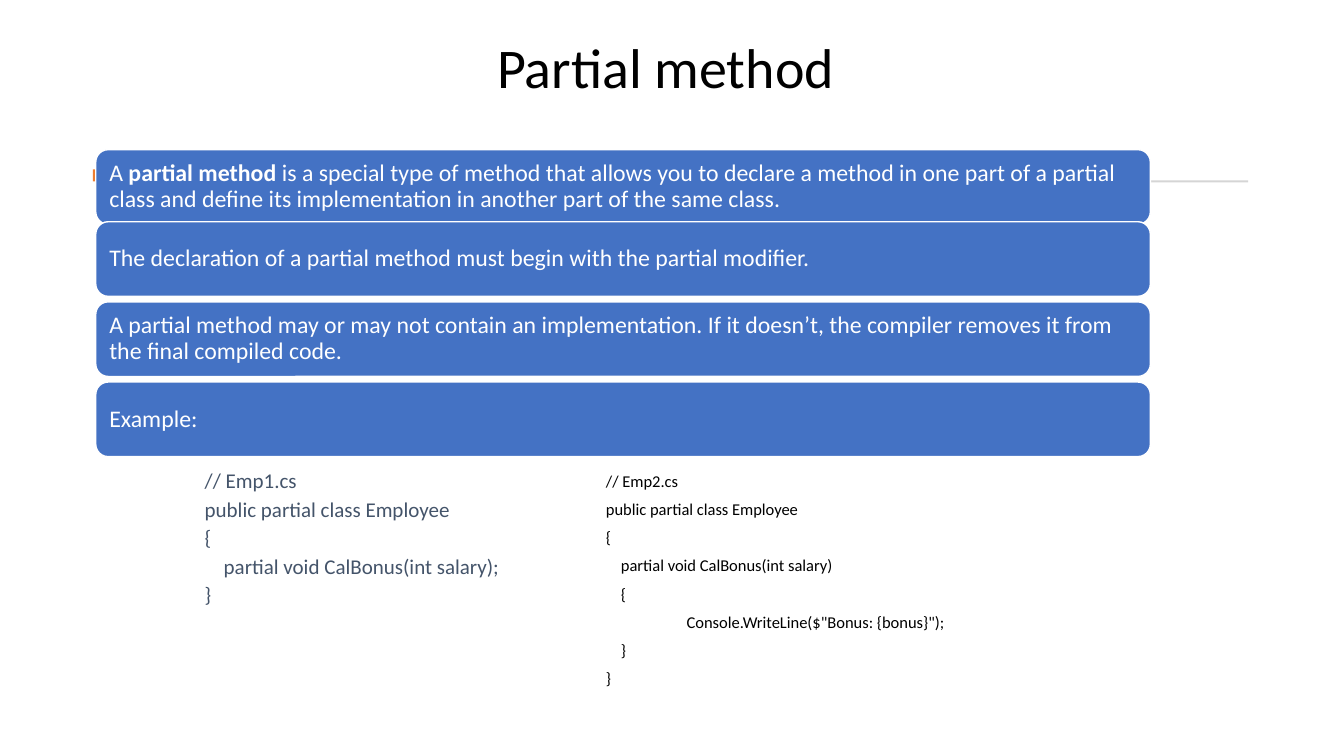
from pptx import Presentation
from pptx.dml.color import RGBColor
from pptx.enum.shapes import MSO_SHAPE as Kind
from pptx.enum.text import MSO_ANCHOR as Anchor, MSO_AUTO_SIZE as Fit, PP_ALIGN as Align
from pptx.oxml.ns import qn
from pptx.util import Inches, Pt
from lxml.etree import SubElement

# Content: text runs are (text, bold), code lines are (level, text)
TITLE = "Partial method\u00a0"
POINTS = [
    [("A\u00a0", False), ("partial method", True),
     ("\u00a0is a special type of method that allows you to declare a method in one part "
      "of a partial class and define its implementation in another part of the same class.", False)],
    [("The declaration of a partial method must begin with the\u00a0partial modifier.", False)],
    [("A\u00a0partial method may or may not contain an implementation. If it doesn’t, "
      "the compiler removes it from the final compiled code.", False)],
    [("Example:", False)],
]
EMP1 = [(0, "// Emp1.cs"), (0, "public partial class Employee"), (0, "{"),
        (1, "partial void CalBonus(int salary);"), (0, "}")]
EMP2 = [(0, "// Emp2.cs"), (0, "public partial class Employee"), (0, "{"),
        (1, "partial void CalBonus(int salary)"), (1, "{"),
        (2, 'Console.WriteLine($"Bonus: {bonus}");'), (1, "}"), (0, "}")]

# Look
HUES = {"bar": "4472C4", "rule": "D5D5D5", "mark": "ED7D31",
        "white": "FFFFFF", "black": "000000", "slate": "44546A"}
FONT = "Calibri"
LEFT, WIDE, TALL = 0.95, 10.46, 0.74
LAST, STEP, NUDGE = 3.79, 0.795, 0.08   # the first bar sits a little lower


def hue(name):
    return RGBColor.from_string(HUES[name])


def put(item, *box):
    item.left, item.top, item.width, item.height = map(Inches, box)


def style(item, **look):
    for key, val in look.items():
        setattr(item, key, val)


def write(para, text, size, color, bold=False):
    run = para.add_run()
    run.text = text
    style(run.font, name=FONT, size=Pt(size), bold=bold)
    run.font.color.rgb = hue(color)


def draw(kind, fill, *box):
    item = deck.shapes.add_shape(kind, *map(Inches, box))
    item.shadow.inherit = False
    item.fill.solid()
    item.fill.fore_color.rgb = hue(fill)
    item.line.fill.background()
    return item


def code(item, lines, box, size, color, space, anchor):
    put(item, *box)
    frame = item.text_frame
    style(frame, word_wrap=True, auto_size=Fit.NONE, vertical_anchor=anchor)
    steps = (0, size * 0.0126, 0.8)     # indent of each level, inches
    for num, (level, text) in enumerate(lines):
        para = frame.add_paragraph() if num else frame.paragraphs[0]
        style(para, line_spacing=space, space_before=Pt(0), space_after=Pt(6))
        props = para._p.get_or_add_pPr()
        props.set("marL", str(Inches(steps[level])))
        props.set("indent", "0")
        SubElement(props, qn("a:buNone"))
        write(para, text, size, color)


show = Presentation()
style(show, slide_width=Inches(13.33), slide_height=Inches(7.5))
deck = show.slides.add_slide(show.slide_layouts[3])
head, left, right = deck.placeholders

# Title
put(head, 0.92, 0.28, 11.49, 0.77)
style(head.text_frame, word_wrap=True, auto_size=Fit.NONE, vertical_anchor=Anchor.BOTTOM)
line = head.text_frame.paragraphs[0]
style(line, alignment=Align.CENTER, line_spacing=0.9)
write(line, TITLE, 40, "black")

# Rule and accent behind the bars
draw(Kind.RECTANGLE, "rule", LEFT, 1.79, 11.43, 0.02)
draw(Kind.RECTANGLE, "mark", 0.92, 1.68, 2.05, 0.12)

# Bars
for row, runs in enumerate(POINTS):
    top = LAST - STEP * (len(POINTS) - 1 - row) + (0 if row else NUDGE)
    bar = draw(Kind.ROUNDED_RECTANGLE, "bar", LEFT, top, WIDE, TALL)
    bar.line.color.rgb = hue("white")
    bar.line.width = Pt(1)
    pad = Inches(0.1)
    style(bar.text_frame, word_wrap=True, vertical_anchor=Anchor.MIDDLE,
          margin_left=pad, margin_right=pad, margin_top=0, margin_bottom=0)
    line = bar.text_frame.paragraphs[0]
    style(line, alignment=Align.LEFT, line_spacing=0.9)
    for text, bold in runs:
        write(line, text, 17, "white", bold)

# Code of the two files
code(left, EMP1, (1.93, 4.62, 3.63, 1.45), 15, "slate", 0.8, Anchor.BOTTOM)
code(right, EMP2, (5.91, 4.62, 5.49, 2.25), 11.8, "black", 1.0, Anchor.TOP)

show.save("out.pptx")
